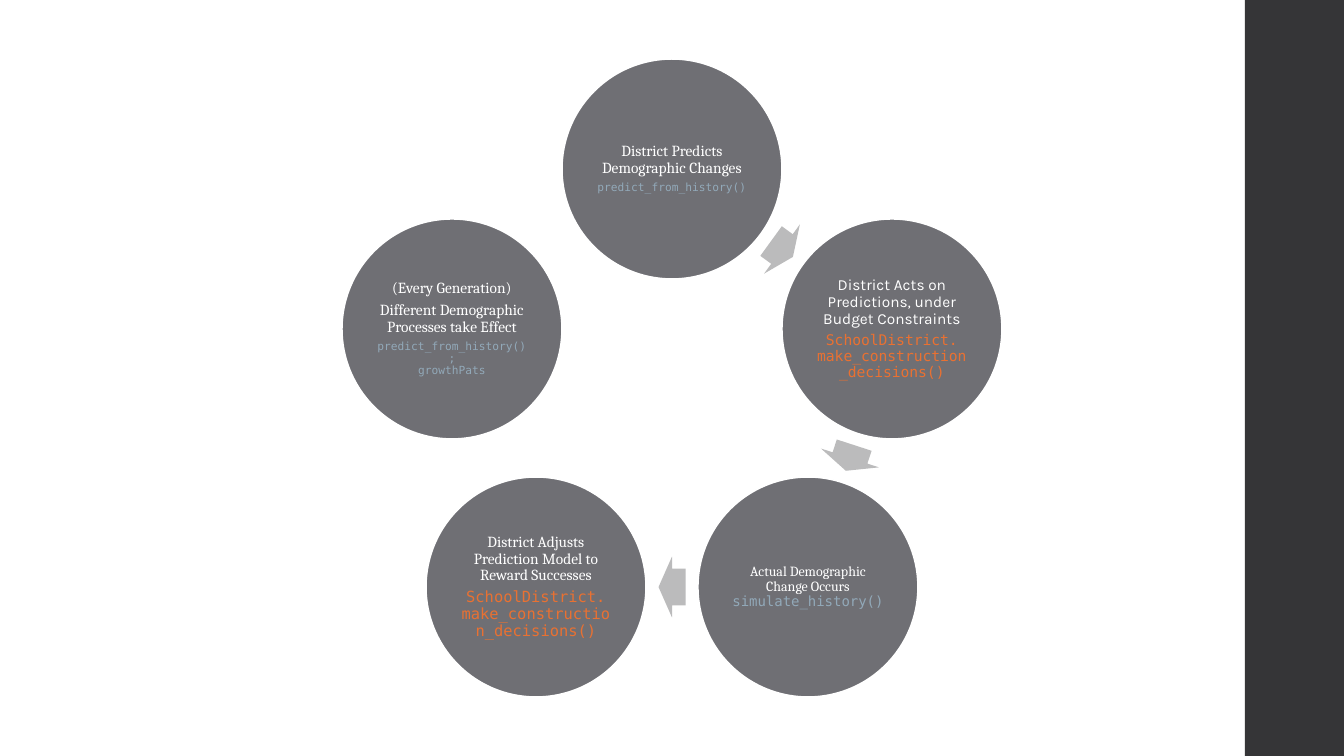
from dataclasses import dataclass
from math import cos, radians, sin

from pptx import Presentation
from pptx.dml.color import RGBColor
from pptx.enum.shapes import MSO_SHAPE as Shape
from pptx.enum.text import MSO_ANCHOR as Anchor, PP_ALIGN as Align
from pptx.util import Emu, Pt

EMU_PER_PX = 12192000 / 1344


@dataclass(frozen=True)
class Theme:
    """Colours, fonts and type sizes of the slide."""
    sidebar: str = "353537"
    circle: str = "6F6F74"
    arrow: str = "BBBBBC"
    white: str = "FFFFFF"
    blue: str = "92A9B9"
    orange: str = "E97132"
    serif: str = "Cambria"
    sans: str = "Karla"
    mono: str = "DejaVu Sans Mono"
    label: float = 11
    medium: float = 10.5
    small: float = 10
    tiny: float = 8


THEME = Theme()
LABEL = (THEME.serif, THEME.label, THEME.white)
SANS_LABEL = (THEME.sans, THEME.label, THEME.white)
SMALL_LABEL = (THEME.serif, THEME.small, THEME.white)
TINY_CODE = (THEME.mono, THEME.tiny, THEME.blue)
SMALL_CODE = (THEME.mono, THEME.small, THEME.blue)
MEDIUM_CALL = (THEME.mono, THEME.medium, THEME.orange)
LARGE_CALL = (THEME.mono, THEME.label, THEME.orange)

DECISION_CALL = "SchoolDistrict. make_construction_decisions()"
STEPS = [
    [[("District Predicts Demographic Changes", LABEL)],
     [("predict_from_history()", TINY_CODE)]],
    [[("District Acts on Predictions, under Budget Constraints", SANS_LABEL)],
     [(DECISION_CALL, MEDIUM_CALL)]],
    [[("Actual Demographic Change Occurs", SMALL_LABEL),
      ("simulate_history()", SMALL_CODE)]],
    [[("District Adjusts Prediction Model to Reward Successes", LABEL)],
     [(DECISION_CALL, LARGE_CALL)]],
    [[("(Every Generation)", LABEL)],
     [("Different Demographic Processes take Effect", LABEL)],
     [("predict_from_history();", TINY_CODE), ("growthPats", TINY_CODE)]],
]
TURN = 360 / len(STEPS)
ARROW_COUNT = 3
CENTRE_X, CENTRE_Y, RING_RADIUS = 672, 400, 231
DIAMETER = 220
ARROW_WIDTH, ARROW_HEIGHT = 27, 61


def px(length):
    """Turn pixels into EMU."""
    return Emu(round(length * EMU_PER_PX))


def ring_point(angle, radius):
    """Return the point at a clockwise angle from the top of the ring."""
    turn = radians(angle)
    return round(CENTRE_X + radius * sin(turn)), round(CENTRE_Y - radius * cos(turn))


def add_filled(page, kind, left, top, width, height, colour):
    """Add a plain shape without outline or shadow."""
    shape = page.shapes.add_shape(kind, px(left), px(top), px(width), px(height))
    shape.shadow.inherit = False
    shape.fill.solid()
    shape.fill.fore_color.rgb = RGBColor.from_string(colour)
    shape.line.fill.background()
    return shape


def write_paragraph(para, spans):
    """Write one centred paragraph whose spans stand on lines of their own."""
    para.text = "\v".join(text for text, style in spans)
    para.alignment = Align.CENTER
    para.line_spacing = 0.9
    para.space_after = Pt(0.35 * spans[0][1][1])
    for span, (text, (name, size, colour)) in zip(para.runs, spans):
        span.font.name = name
        span.font.size = Pt(size)
        span.font.color.rgb = RGBColor.from_string(colour)


def add_step(page, angle, paragraphs):
    """Add one circle of the cycle with its text."""
    x, y = ring_point(angle, RING_RADIUS)
    circle = add_filled(page, Shape.OVAL, x - DIAMETER // 2, y - DIAMETER // 2,
                        DIAMETER, DIAMETER, THEME.circle)
    circle.line.color.rgb = RGBColor.from_string(THEME.white)
    circle.line.width = Pt(1.1)
    frame = circle.text_frame
    frame.word_wrap = True
    frame.vertical_anchor = Anchor.MIDDLE
    frame.margin_left = frame.margin_right = px(2)
    frame.margin_top = frame.margin_bottom = px(2)
    for index, spans in enumerate(paragraphs):
        para = frame.add_paragraph() if index else frame.paragraphs[0]
        write_paragraph(para, spans)


def add_cycle_arrow(page, angle):
    """Add an arrow halfway between two neighbouring circles."""
    x, y = ring_point(angle, RING_RADIUS * cos(radians(TURN / 2)))
    arrow = add_filled(page, Shape.RIGHT_ARROW, x - ARROW_WIDTH / 2, y - ARROW_HEIGHT / 2,
                       ARROW_WIDTH, ARROW_HEIGHT, THEME.arrow)
    arrow.adjustments[0] = 0.6
    arrow.adjustments[1] = 0.5
    arrow.rotation = angle


def main():
    """Build the slide and save it."""
    deck = Presentation()
    deck.slide_width, deck.slide_height = px(1344), px(756)
    page = deck.slides.add_slide(deck.slide_layouts[6])
    add_filled(page, Shape.RECTANGLE, 1245, 0, 99, 756, THEME.sidebar)
    for index, paragraphs in enumerate(STEPS):
        add_step(page, index * TURN, paragraphs)
        if index < ARROW_COUNT:
            add_cycle_arrow(page, (index + 0.5) * TURN)
    deck.save("out.pptx")


if __name__ == "__main__":
    main()
